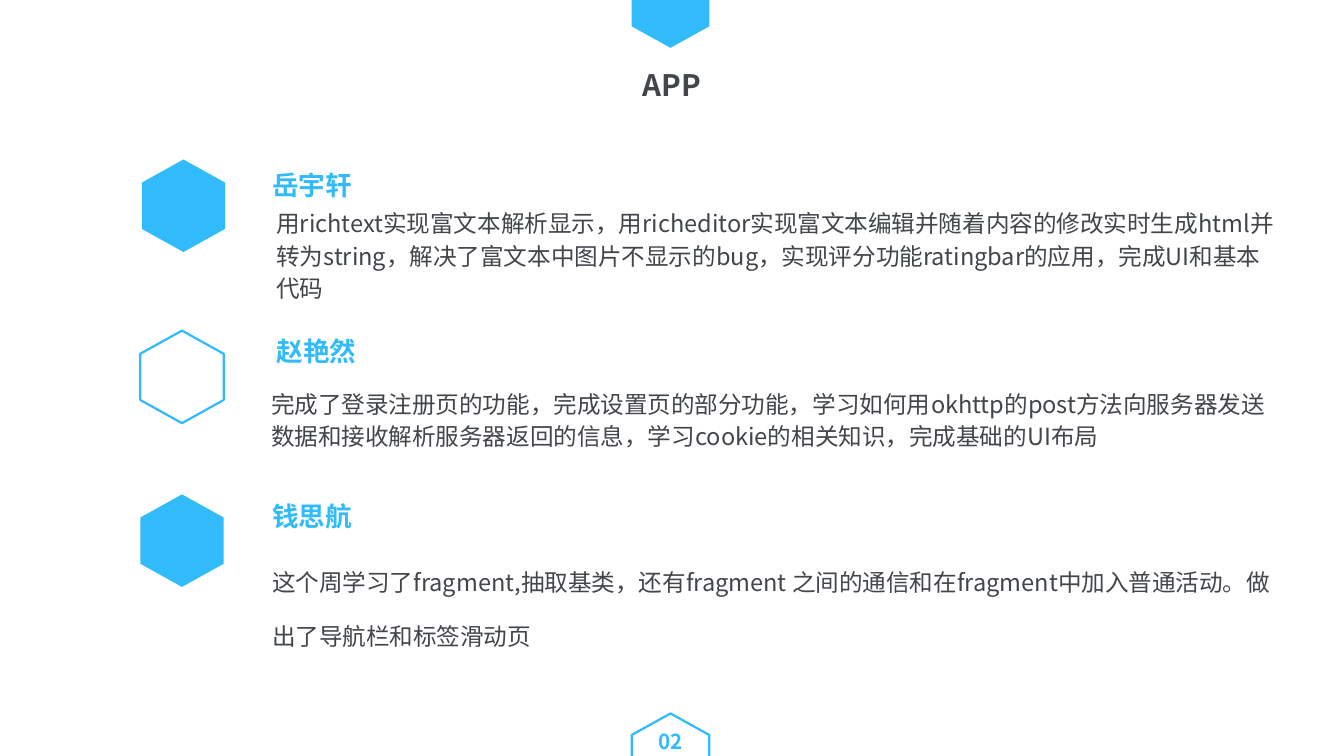
from dataclasses import dataclass

from lxml.etree import SubElement
from pptx import Presentation
from pptx.dml.color import RGBColor
from pptx.enum.text import MSO_AUTO_SIZE as AutoSize, PP_ALIGN as Align
from pptx.oxml.ns import qn
from pptx.util import Inches, Pt

FONT = "Noto Sans CJK SC"
BLUE, GREY = "31BBFB", "42464B"
HEXAGON = [(0.5, 0), (1, 0.25), (1, 0.75), (0.5, 1), (0, 0.75), (0, 0.25)]

deck = Presentation()
deck.slide_width, deck.slide_height = Inches(12.64), Inches(7.11)
page = deck.slides.add_slide(deck.slide_layouts[6])

# Grid of 100 columns by 100 rows
COLUMN, ROW = deck.slide_width / 100, deck.slide_height / 100


@dataclass
class Area:
    left: float
    top: float
    width: float
    height: float

    def point(self, across: float = 0, down: float = 0) -> tuple[int, int]:
        return (round((self.left + across * self.width) * COLUMN),
                round((self.top + down * self.height) * ROW))

    def size(self) -> tuple[int, int]:
        return round(self.width * COLUMN), round(self.height * ROW)


@dataclass
class Style:
    size: int
    color: str
    bold: bool = False
    align: Align = Align.LEFT
    spacing: float = 1.16


@dataclass
class Member:
    name: str
    work: str
    hexagon: Area
    name_area: Area
    work_area: Area
    filled: bool = True
    spacing: float = 1.16


def rgb(color: str) -> RGBColor:
    return RGBColor.from_string(color)


def draw_hexagon(area: Area, filled: bool) -> None:
    corners = [area.point(*corner) for corner in HEXAGON]
    builder = page.shapes.build_freeform(*corners[0])
    builder.add_line_segments(corners[1:], close=True)
    shape = builder.convert_to_shape()
    shape.shadow.inherit = False
    if filled:
        shape.fill.solid()
        shape.fill.fore_color.rgb = rgb(BLUE)
        shape.line.fill.background()
    else:
        shape.fill.background()
        shape.line.color.rgb = rgb(BLUE)
        shape.line.width = Pt(1.5)


def draw_text(text: str, area: Area, style: Style) -> None:
    box = page.shapes.add_textbox(*area.point(), *area.size())
    frame = box.text_frame
    frame.word_wrap = True
    frame.auto_size = AutoSize.SHAPE_TO_FIT_TEXT
    frame.margin_left = frame.margin_top = frame.margin_right = 0
    frame.margin_bottom = Inches(0.05)
    para = frame.paragraphs[0]
    para.text = text
    para.alignment = style.align
    para.line_spacing = style.spacing
    font = para.font
    font.name, font.size, font.bold = FONT, Pt(style.size), style.bold
    font.color.rgb = rgb(style.color)
    # East Asian typeface
    SubElement(para._p.pPr.find(qn("a:defRPr")), qn("a:ea"), typeface=FONT)


# Title and page number with hexagons cut by the slide edges
draw_hexagon(Area(47, -5.06, 5.78, 11.39), filled=True)
draw_hexagon(Area(47, 94.37, 5.78, 11.39), filled=False)
draw_text("APP", Area(28.16, 8.16, 43.67, 5.91),
          Style(20, GREY, bold=True, align=Align.CENTER))
draw_text("02", Area(47.47, 95.92, 4.83, 4.22),
          Style(14, BLUE, bold=True, align=Align.CENTER))

# Team members and their work
MEMBERS = [
    Member("岳宇轩",
           "用richtext实现富文本解析显示，用richeditor实现富文本编辑并随着内容的修改"
           "实时生成html并转为string，解决了富文本中图片不显示的bug，"
           "实现评分功能ratingbar的应用，完成UI和基本代码",
           Area(10.55, 21.1, 6.2, 12.24), Area(20.25, 21.66, 22, 5.34),
           Area(20.57, 27, 74.21, 15.47)),
    Member("赵艳然",
           "完成了登录注册页的功能，完成设置页的部分功能，学习如何用okhttp的post方法"
           "向服务器发送数据和接收解析服务器返回的信息，学习cookie的相关知识，"
           "完成基础的UI布局",
           Area(10.44, 43.74, 6.2, 12.24), Area(20.57, 43.6, 22, 4.92),
           Area(20.17, 50.91, 75.16, 9.42), filled=False),
    Member("钱思航",
           "这个周学习了fragment,抽取基类，还有fragment\u00a0之间的通信和在fragment中"
           "加入普通活动。做出了导航栏和标签滑动页",
           Area(10.44, 65.4, 6.2, 12.24), Area(20.25, 65.4, 22, 4.92),
           Area(20.25, 71.73, 74.84, 15.19), spacing=1.91),
]
for member in MEMBERS:
    draw_hexagon(member.hexagon, member.filled)
    draw_text(member.name, member.name_area, Style(18, BLUE, bold=True))
    draw_text(member.work, member.work_area,
              Style(16, GREY, spacing=member.spacing))

deck.save("out.pptx")
